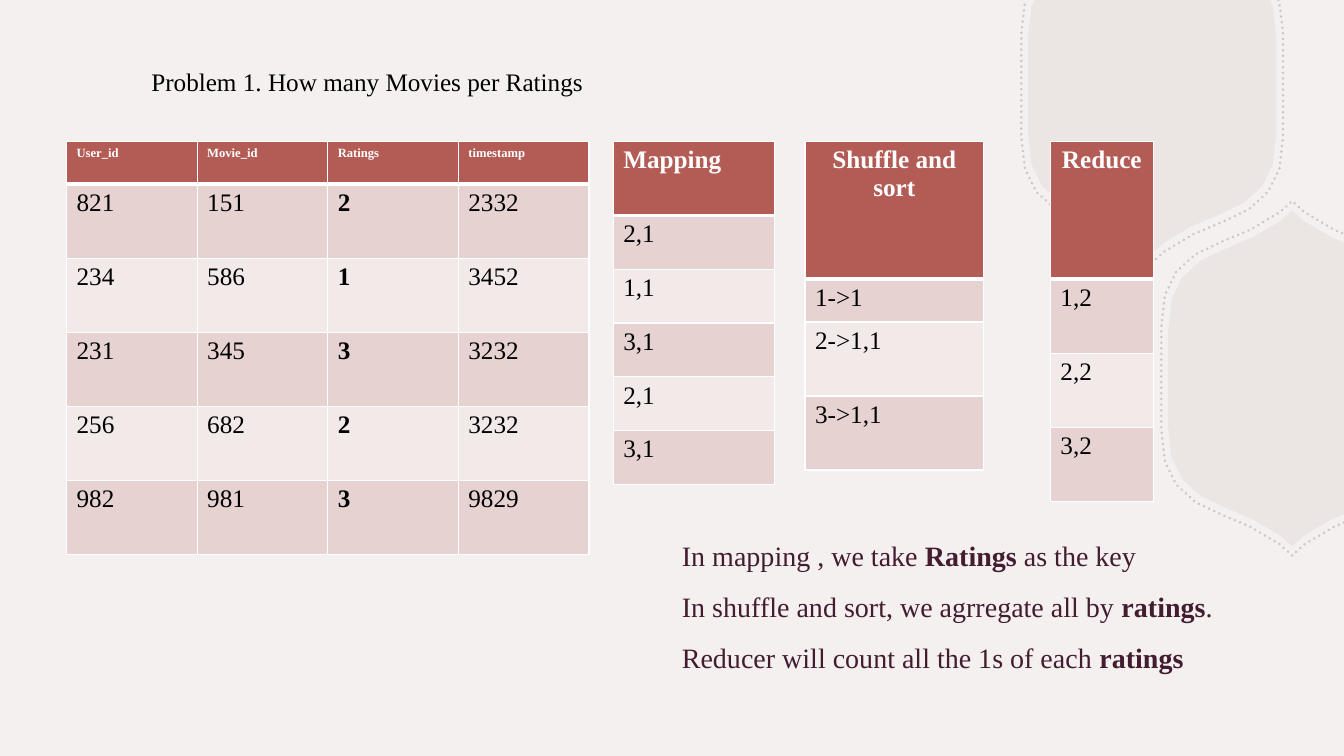
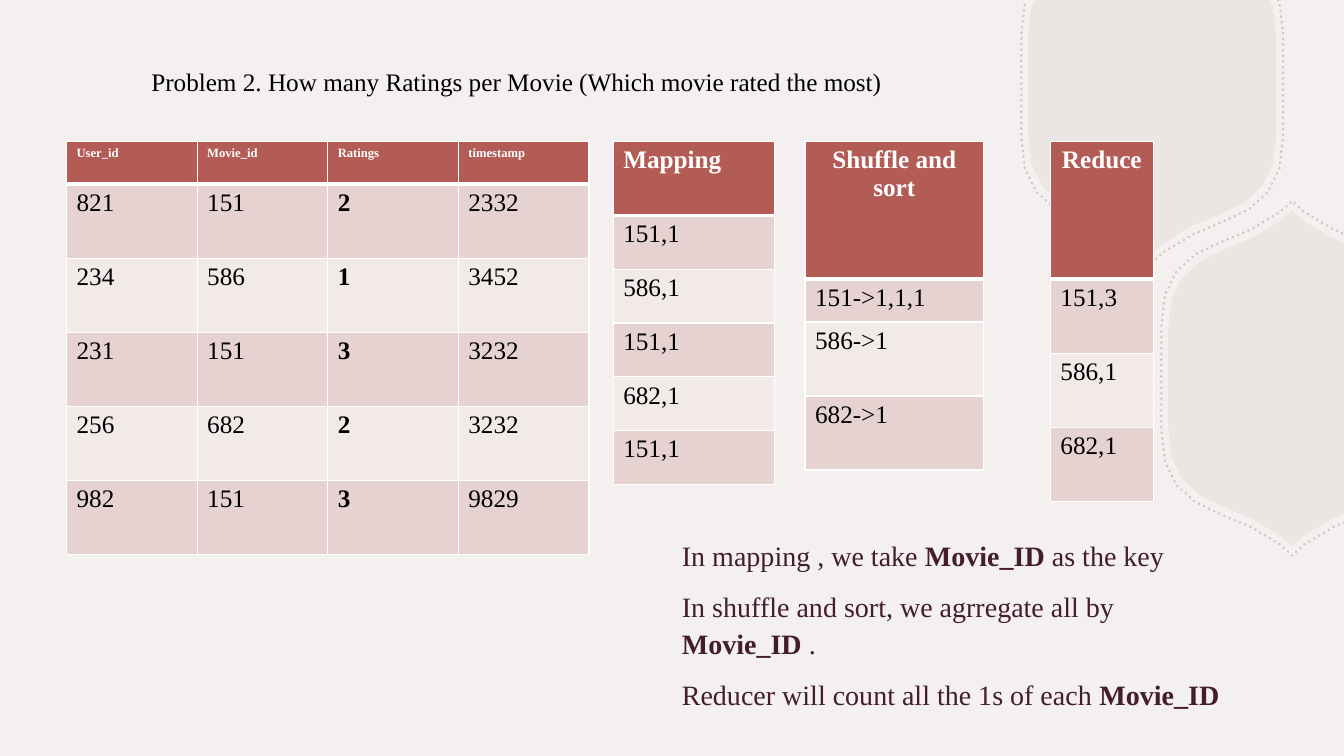
from lxml import etree
from pptx import Presentation
from pptx.dml.color import RGBColor
from pptx.enum.dml import MSO_LINE
from pptx.enum.text import PP_ALIGN
from pptx.oxml.ns import qn
from pptx.util import Pt

LEFT, MID = PP_ALIGN.LEFT, PP_ALIGN.CENTER
DOT = MSO_LINE.ROUND_DOT
FONT = "Times New Roman"
WIDE, HIGH = 960, 540
PAPER, BRICK, ROSE, PALE = "F3F0EF", "B35B55", "E5D2D1", "F2EAE9"
WHITE, BLACK, PLUM, TAUPE = "FFFFFF", "000000", "431C30", "BFAFAA"

TIP, KNEE = (0, 120), (8, 112.7)
BENDS = [
    (KNEE, (27.4, 97.6), (49, 94), (65.5, 83.9)),
    ((65.5, 83.9), (81.4, 73.1), (88.6, 60), (88.6, 35)),
]
STEPS = 3
SIGNS = [(1, -1), (1, 1), (-1, 1), (-1, -1)]
HEXES = [(823, 61, 0), (923, 270.2, 1)]
RIM = 1.055

TOP = 101
HEAD, ROW, SLIM, LOW = 98.5, 52.9, 38.4, 30.5
USERS = ["821", "234", "231", "256", "982"]
RATES = ["2", "1", "3", "2", "3"]
TIMES = ["2332", "3452", "3232", "3232", "9829"]

TASKS = [
    {
        "title": "Problem 1. How many Movies per Ratings",
        "films": ["151", "586", "345", "682", "981"],
        "map": ["2,1", "1,1", "3,1", "2,1", "3,1"],
        "sort": ["1->1", "2->1,1", "3->1,1"],
        "sum": ["1,2", "2,2", "3,2"],
        "notes": [
            "In mapping , we take *Ratings* as the key",
            "In shuffle and sort, we agrregate all by *ratings*.",
            "Reducer will count all the 1s of each *ratings*",
        ],
    },
    {
        "title": "Problem 2. How many Ratings per Movie (Which movie rated the most)",
        "films": ["151", "586", "151", "682", "151"],
        "map": ["151,1", "586,1", "151,1", "682,1", "151,1"],
        "sort": ["151->1,1,1", "586->1", "682->1"],
        "sum": ["151,3", "586,1", "682,1"],
        "notes": [
            "In mapping , we take *Movie_ID *as the key",
            "In shuffle and sort, we agrregate all by *Movie_ID *.",
            "Reducer will count all the 1s of each *Movie_ID*",
        ],
    },
]


def paint(hue):
    return RGBColor.from_string(hue)


def write(frame, lines, size=18, hue=BLACK, bold=False, align=LEFT, gap=0, lead=1.0):
    for i, line in enumerate(lines):
        para = frame.add_paragraph() if i else frame.paragraphs[0]
        para.alignment = align
        para.space_before = Pt(gap)
        para.line_spacing = lead
        for j, part in enumerate(line.split("*")):
            if part:
                run = para.add_run()
                run.text = part
                font = run.font
                font.name, font.size = FONT, Pt(size)
                font.bold = bold or j % 2 == 1
                font.color.rgb = paint(hue)


def add_text(slide, box, lines, **style):
    frame = slide.shapes.add_textbox(*map(Pt, box)).text_frame
    frame.word_wrap = True
    write(frame, lines, **style)


def edge(cell, side, width):
    line = etree.SubElement(
        cell._tc.get_or_add_tcPr(), qn("a:ln" + side), w=str(Pt(width))
    )
    fill = etree.SubElement(line, qn("a:solidFill"))
    etree.SubElement(fill, qn("a:srgbClr"), val=WHITE)


def add_grid(slide, left, width, highs, rows, size=18, align=LEFT):
    count = len(rows[0])
    box = (left, TOP, width * count, sum(highs))
    grid = slide.shapes.add_table(len(rows), count, *map(Pt, box)).table
    for col in grid.columns:
        col.width = Pt(width)
    for r, row in enumerate(rows):
        grid.rows[r].height = Pt(highs[r])
        for c, value in enumerate(row):
            cell = grid.cell(r, c)
            edge(cell, "L", 1)
            edge(cell, "R", 1)
            edge(cell, "T", 3 if r == 1 else 1)
            edge(cell, "B", 3 if r == 0 else 1)
            cell.fill.solid()
            if r == 0:
                shade, style = BRICK, dict(size=size, hue=WHITE, bold=True, align=align)
            else:
                shade, style = (ROSE if r % 2 else PALE), {}
            cell.fill.fore_color.rgb = paint(shade)
            write(cell.text_frame, [value], **style)


def add_list(slide, left, width, highs, head, items, align=LEFT):
    add_grid(slide, left, width, highs, [[head]] + [[x] for x in items], align=align)


def bend(a, b, c, d):
    for i in range(1, STEPS + 1):
        t = i / STEPS
        u = 1 - t
        yield tuple(
            u**3 * p + 3 * u * u * t * q + 3 * u * t * t * r + t**3 * s
            for p, q, r, s in zip(a, b, c, d)
        )


def ring(x, y, turn, scale):
    arc = [TIP, KNEE] + [p for curve in BENDS for p in bend(*curve)]
    dots = []
    for q in range(turn, turn + 4):
        h, v = SIGNS[q % 4]
        part = arc[::-1] if q % 2 else arc[1:]
        dots += [(x + h * scale * a, y + v * scale * b) for a, b in part]
    return dots


def inside(dot):
    return dot[0] <= WIDE and dot[1] >= 0


def cross(a, b):
    if max(a[0], b[0]) > WIDE:
        t = (WIDE - a[0]) / (b[0] - a[0])
    else:
        t = a[1] / (a[1] - b[1])
    return tuple(p + t * (q - p) for p, q in zip(a, b))


def clip(dots):
    kept = []
    for a, b in zip(dots, dots[1:]):
        if inside(a) != inside(b):
            kept.append(cross(a, b))
        if inside(b):
            kept.append(b)
    return kept


def add_path(slide, x, y, turn, scale=1, close=True):
    dots = [(Pt(a), Pt(b)) for a, b in clip(ring(x, y, turn, scale))]
    pen = slide.shapes.build_freeform(*dots[0])
    pen.add_line_segments(dots[1:], close=close)
    shape = pen.convert_to_shape()
    shape.shadow.inherit = False
    return shape


def fade(fill, alpha):
    tint = fill._xPr.find(qn("a:solidFill"))[0]
    etree.SubElement(tint, qn("a:alpha"), val=str(alpha * 1000))


def add_hex(slide, x, y, turn):
    shape = add_path(slide, x, y, turn)
    shape.fill.solid()
    shape.fill.fore_color.rgb = paint(TAUPE)
    fade(shape.fill, 15)
    shape.line.fill.background()


def add_rim(slide, x, y, turn):
    shape = add_path(slide, x, y, turn, RIM, False)
    shape.fill.background()
    line = shape.line
    line.width = Pt(2)
    line.color.rgb = paint(TAUPE)
    fade(line.fill, 65)
    line.dash_style = DOT
    line._get_or_add_ln().set("cap", "rnd")


def add_page(deck, task):
    slide = deck.slides.add_slide(deck.slide_layouts[6])
    for draw in (add_hex, add_rim):
        for spot in HEXES:
            draw(slide, *spot)
    add_text(slide, (480, 379, 412, 108), task["notes"], size=20, hue=PLUM, gap=10, lead=1.1)
    marks = [f"*{rate}*" for rate in RATES]
    rows = [["User_id", "Movie_id", "Ratings", "timestamp"]]
    rows += zip(USERS, task["films"], marks, TIMES)
    add_grid(slide, 47.5, 93.3, [LOW] + [ROW] * 5, rows, size=9)
    add_list(slide, 438, 115.2, [ROW] + [SLIM] * 5, "Mapping", task["map"])
    add_list(slide, 575, 127.5, [HEAD, LOW, ROW, ROW], "Shuffle and sort", task["sort"], MID)
    add_list(slide, 750.3, 73.5, [HEAD] + [ROW] * 3, "Reduce", task["sum"], MID)
    add_text(slide, (101, 44, 723, 29), [task["title"]])


def main():
    deck = Presentation()
    deck.slide_width, deck.slide_height = Pt(WIDE), Pt(HIGH)
    back = deck.slide_master.background.fill
    back.solid()
    back.fore_color.rgb = paint(PAPER)
    for task in TASKS:
        add_page(deck, task)
    deck.save("out.pptx")


if __name__ == "__main__":
    main()
